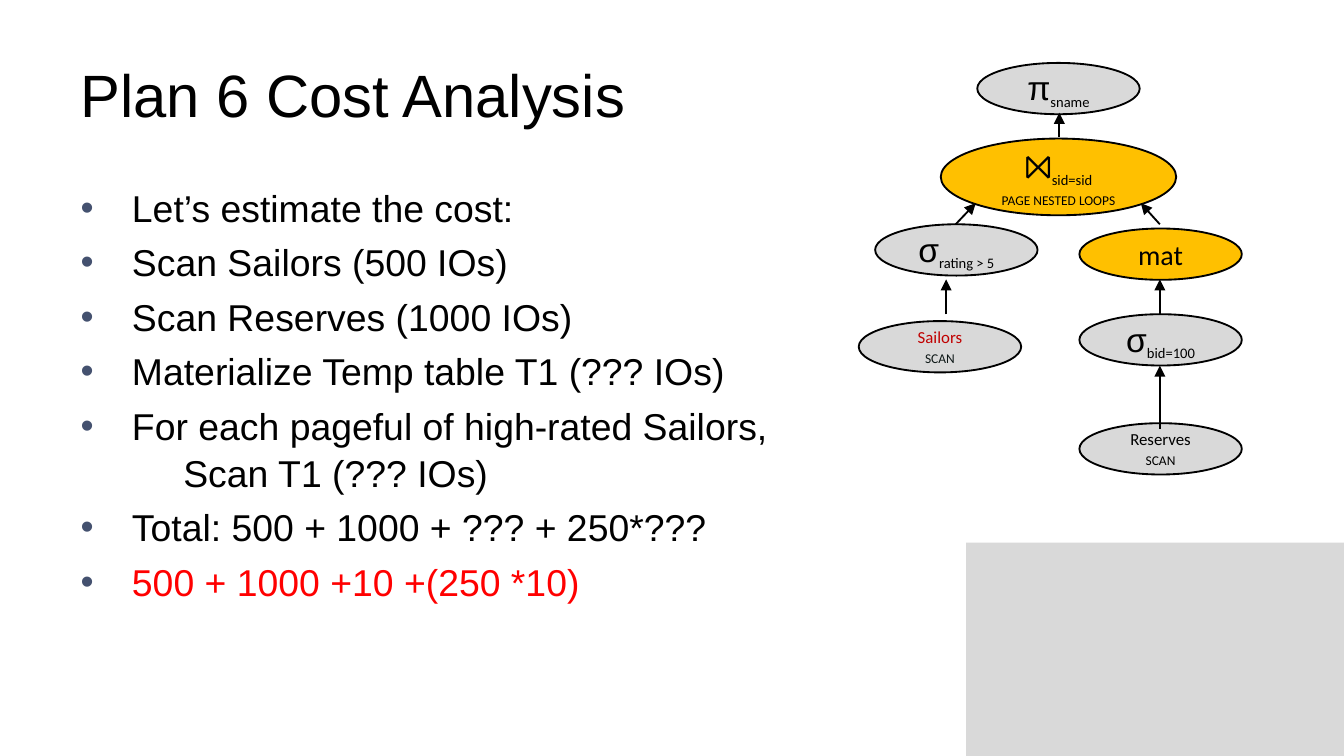
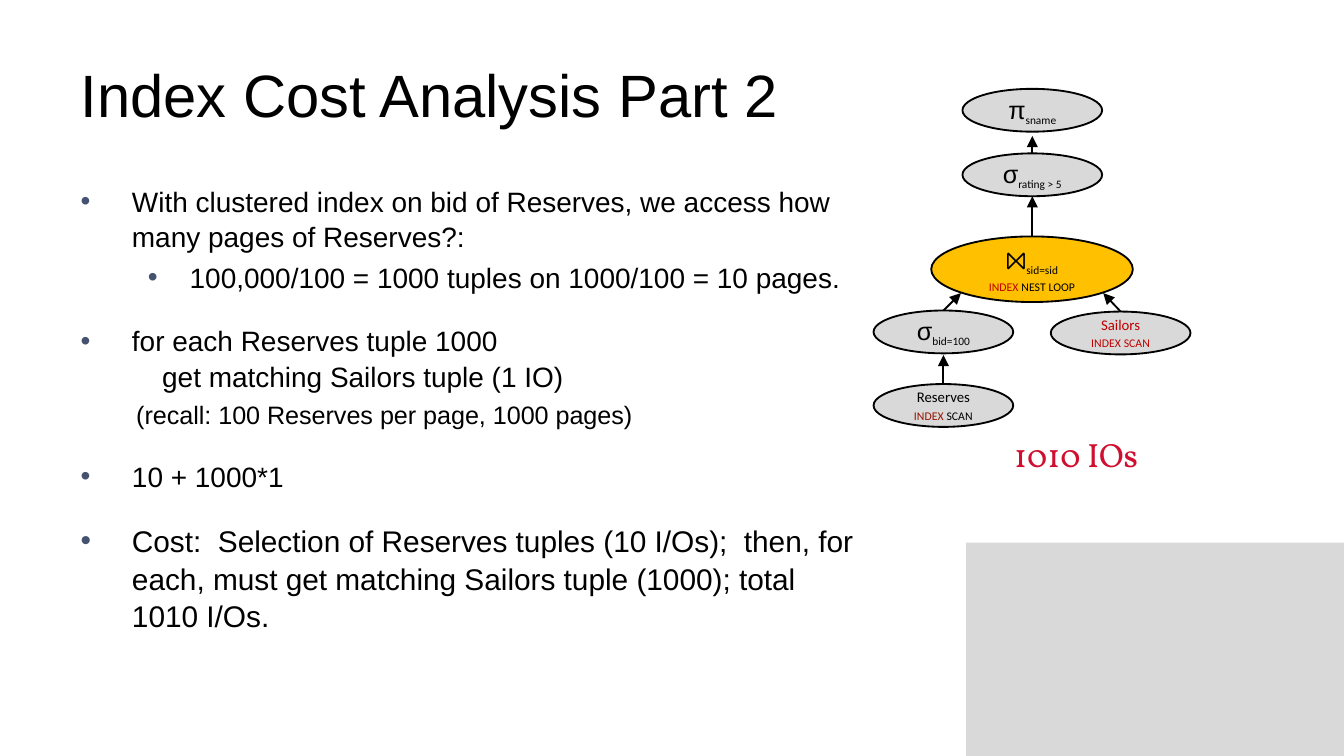
import pptx
import pptx.util
import pptx.dml.color
import pptx.enum.shapes
import pptx.enum.text
import pptx.oxml
import pptx.oxml.ns

Cm, Pt = pptx.util.Cm, pptx.util.Pt
RGB = pptx.dml.color.RGBColor
SHAPE = pptx.enum.shapes.MSO_SHAPE
LINK = pptx.enum.shapes.MSO_CONNECTOR
ALIGN = pptx.enum.text.PP_ALIGN
MID = pptx.enum.text.MSO_ANCHOR.MIDDLE
FIXED = pptx.enum.text.MSO_AUTO_SIZE.NONE

BLACK = RGB(0x00, 0x00, 0x00)
INK = RGB(0x0E, 0x18, 0x17)
GREY = RGB(0xD9, 0xD9, 0xD9)
GOLD = RGB(0xFF, 0xC0, 0x00)
RED = RGB(0xFF, 0x00, 0x00)
BRICK = RGB(0xC0, 0x00, 0x00)
RUST = RGB(0x94, 0x11, 0x00)
ROSE = RGB(0xCF, 0x0E, 0x30)
SLATE = RGB(0x44, 0x51, 0x6F)

WIDE, HIGH = 25.4, 14.29
BAND = (18.26, 10.26, 7.14, 4.03)
HEAD = (1.27, 0.58, 22.86, 2.39)

LEVELS = {
    "main": dict(left=0.97, hang=-0.97, dot=True, level=0),
    "sub": dict(left=2.06, hang=-0.79, dot=True, level=1),
    "deep": dict(left=1.94, hang=0, dot=False, level=0),
    "next": dict(left=1.54, hang=0, dot=False, level=0),
    "note": dict(left=1.05, hang=0, dot=False, level=0),
}

STYLES = {
    "op": ("Arial", 0, {}),
    "low": ("Calibri", 1, {"baseline": "-25000"}),
    "name": ("Calibri", 2, {}),
    "cap": ("Calibri", 2, {"cap": "small"}),
    "word": ("Calibri", 3, {}),
}


def pick(sign, text):
    return [[(sign, "op", BLACK), (text, "low", BLACK)]]


def table(name, tint, *scan):
    return [[(name, "name", tint)], [(text, "cap", hue) for text, hue in scan]]


def join(*how):
    runs = pick("⨝", "sid=sid")[0] + [("\n", None, None)]
    return [runs + [(text, "cap", hue) for text, hue in how]]


PLANS = [
    dict(
        title="Plan 6 Cost Analysis",
        body=(1.27, 3.33, 22.86, 9.42),
        items=[
            ("main", "Let’s estimate the cost:", 20, 0, BLACK),
            ("main", "Scan Sailors (500 IOs)", 20, 4, BLACK),
            ("main", "Scan Reserves (1000 IOs)", 20, 4, BLACK),
            ("main", "Materialize Temp table T1 (??? IOs)", 20, 4, BLACK),
            ("main", "For each pageful of high-rated Sailors,", 20, 4, BLACK),
            ("deep", "Scan T1 (??? IOs)", 20, 0, BLACK),
            ("main", "Total: 500 + 1000 + ??? + 250*???", 20, 4, BLACK),
            ("main", "500 + 1000 +10 +(250 *10)", 20, 4, RED),
        ],
        sizes=(18, 13.5, 9, 15),
        small=(3.07, 0.97),
        large=(4.45, 1.45),
        nodes=[
            ("small", GREY, 18.47, 1.19, pick("π", "sname")),
            ("large", GOLD, 17.78, 2.62, join(("page nested loops", BLACK))),
            ("small", GREY, 16.54, 4.24, pick("σ", "rating > 5")),
            ("small", GOLD, 20.4, 4.32, [[("mat", "word", BLACK)]]),
            ("small", GREY, 16.23, 6.07, table("Sailors", BRICK, ("scan", INK))),
            ("small", GREY, 20.4, 5.94, pick("σ", "bid=100")),
            ("small", GREY, 20.4, 8, table("Reserves", BLACK, ("scan", BLACK))),
        ],
        arrows=[
            (20.02, 2.59, 20.02, 2.13),
            (18.06, 4.24, 18.44, 3.84),
            (21.92, 4.24, 21.56, 3.84),
            (17.88, 5.94, 17.88, 5.28),
            (21.92, 5.94, 21.92, 5.28),
            (21.92, 8.1, 21.92, 6.91),
        ],
    ),
    dict(
        title="Index Cost Analysis Part 2",
        body=(1.27, 3.33, 15.24, 9.42),
        items=[
            ("main", "With clustered index on bid of Reserves, we access how "
             "many pages of Reserves?:", 15, 0, BLACK),
            ("sub", "100,000/100 = 1000 tuples on 1000/100 = 10 pages.",
             15, 3, BLACK),
            ("main", "for each Reserves tuple 1000", 15, 15, BLACK),
            ("next", "get matching Sailors tuple (1 IO)", 15, 0, BLACK),
            ("note", "(recall: 100 Reserves per page, 1000 pages)",
             13.5, 3, BLACK),
            ("main", "10 + 1000*1", 15, 15, BLACK),
            ("main", "Cost:  Selection of Reserves tuples (10 I/Os);  then, "
             "for each, must get matching Sailors tuple (1000); total "
             "1010 I/Os.", 16, 15, BLACK),
        ],
        sizes=(13.5, 10.5, 7.9, 15),
        small=(2.64, 0.81),
        large=(3.81, 1.24),
        nodes=[
            ("small", GREY, 18.19, 1.68, pick("π", "sname")),
            ("small", GREY, 18.19, 2.9, pick("σ", "rating > 5")),
            ("large", GOLD, 17.6, 4.47,
             join(("index ", BRICK), ("nest loop", BLACK))),
            ("small", GREY, 16.51, 5.87, pick("σ", "bid=100")),
            ("small", GREY, 19.86, 5.89,
             table("Sailors", BRICK, ("index scan", BRICK))),
            ("small", GREY, 16.51, 7.26,
             table("Reserves", BLACK, ("index ", RUST), ("scan", BLACK))),
        ],
        arrows=[
            (19.51, 2.9, 19.51, 2.57),
            (19.51, 4.47, 19.51, 3.71),
            (17.83, 5.87, 18.16, 5.54),
            (21.18, 5.89, 20.85, 5.54),
            (17.83, 7.26, 17.83, 6.71),
        ],
        total=("1010 IOs", (18.36, 8.1, 3.96, 0.97)),
    ),
]


def apply(item, **values):
    for key, value in values.items():
        setattr(item, key, value)


def place(shape, box):
    apply(shape, **dict(zip(("left", "top", "width", "height"), map(Cm, box))))


def tag(name, **values):
    node = pptx.oxml.parse_xml(
        '<a:%s xmlns:a="%s"/>' % (name, pptx.oxml.ns.nsuri("a")))
    for key, value in values.items():
        node.set(key, value)
    return node


def write(para, text, font, size, tint):
    run = para.add_run()
    run.text = text
    apply(run.font, name=font, size=Pt(size), bold=False)
    run.font.color.rgb = tint
    return run


def solid(shapes, kind, box, tint):
    shape = shapes.add_shape(kind, *map(Cm, box))
    shape.shadow.inherit = False
    shape.fill.solid()
    shape.fill.fore_color.rgb = tint
    shape.line.fill.background()
    return shape


def lines(frame):
    yield frame.paragraphs[0]
    while True:
        yield frame.add_paragraph()


def fill_list(frame, items):
    apply(frame, auto_size=FIXED, word_wrap=True)
    for (kind, text, size, gap, tint), para in zip(items, lines(frame)):
        look = LEVELS[kind]
        props = para._p.get_or_add_pPr()
        props.set("marL", str(Cm(look["left"])))
        props.set("indent", str(Cm(look["hang"])))
        if look["dot"]:
            hue = tag("buClr")
            hue.append(tag("srgbClr", val=str(SLATE)))
            props.extend([hue, tag("buFont", typeface="Arial"),
                          tag("buChar", char="•")])
        else:
            props.append(tag("buNone"))
        apply(para, level=look["level"], space_before=Pt(gap),
              line_spacing=1.05, alignment=ALIGN.LEFT)
        write(para, text, "Arial", size, tint)


def add_node(slide, plan, node):
    scale, tint, left, top, rows = node
    oval = solid(slide.shapes, SHAPE.OVAL, (left, top, *plan[scale]), tint)
    oval.line.color.rgb = BLACK
    oval.line.width = Pt(1)
    frame = oval.text_frame
    apply(frame, word_wrap=True, vertical_anchor=MID,
          margin_left=Cm(0.18), margin_right=Cm(0.18),
          margin_top=Cm(0.1), margin_bottom=Cm(0.1))
    for row, para in zip(rows, lines(frame)):
        para.alignment = ALIGN.CENTER
        for text, style, hue in row:
            if text == "\n":
                para.add_line_break()
                continue
            font, rank, marks = STYLES[style]
            run = write(para, text, font, plan["sizes"][rank], hue)
            for key, value in marks.items():
                run._r.get_or_add_rPr().set(key, value)


def add_arrow(slide, ends):
    line = slide.shapes.add_connector(LINK.STRAIGHT, *map(Cm, ends))
    line.line.color.rgb = BLACK
    line.line.width = Pt(1)
    line.line._get_or_add_ln().append(tag("tailEnd", type="triangle"))
    line._element.spPr.append(tag("effectLst"))


def add_total(slide, text, box):
    frame = slide.shapes.add_textbox(*map(Cm, box)).text_frame
    apply(frame, word_wrap=False, vertical_anchor=MID)
    para = frame.paragraphs[0]
    para.alignment = ALIGN.CENTER
    write(para, text, "Vollkorn", 18, ROSE)


def add_band(slide, layout):
    band = solid(slide.shapes, SHAPE.RECTANGLE, BAND, GREY)
    band._element.nvSpPr.cNvPr.set("id", "20")
    layout.shapes._spTree.append(band._element)


def add_plan(deck, layout, plan):
    slide = deck.slides.add_slide(layout)
    title, body = slide.placeholders
    place(title, HEAD)
    apply(title.text_frame, auto_size=FIXED, vertical_anchor=MID)
    para = title.text_frame.paragraphs[0]
    para.alignment = ALIGN.LEFT
    write(para, plan["title"], "Arial", 32, BLACK)
    place(body, plan["body"])
    fill_list(body.text_frame, plan["items"])
    if "total" in plan:
        add_total(slide, *plan["total"])
    for node in plan["nodes"]:
        add_node(slide, plan, node)
    for ends in plan["arrows"]:
        add_arrow(slide, ends)
    return slide


def main():
    deck = pptx.Presentation()
    apply(deck, slide_width=Cm(WIDE), slide_height=Cm(HIGH))
    layout = deck.slide_layouts[1]
    slides = [add_plan(deck, layout, plan) for plan in PLANS]
    add_band(slides[0], layout)
    deck.save("out.pptx")


if __name__ == "__main__":
    main()
